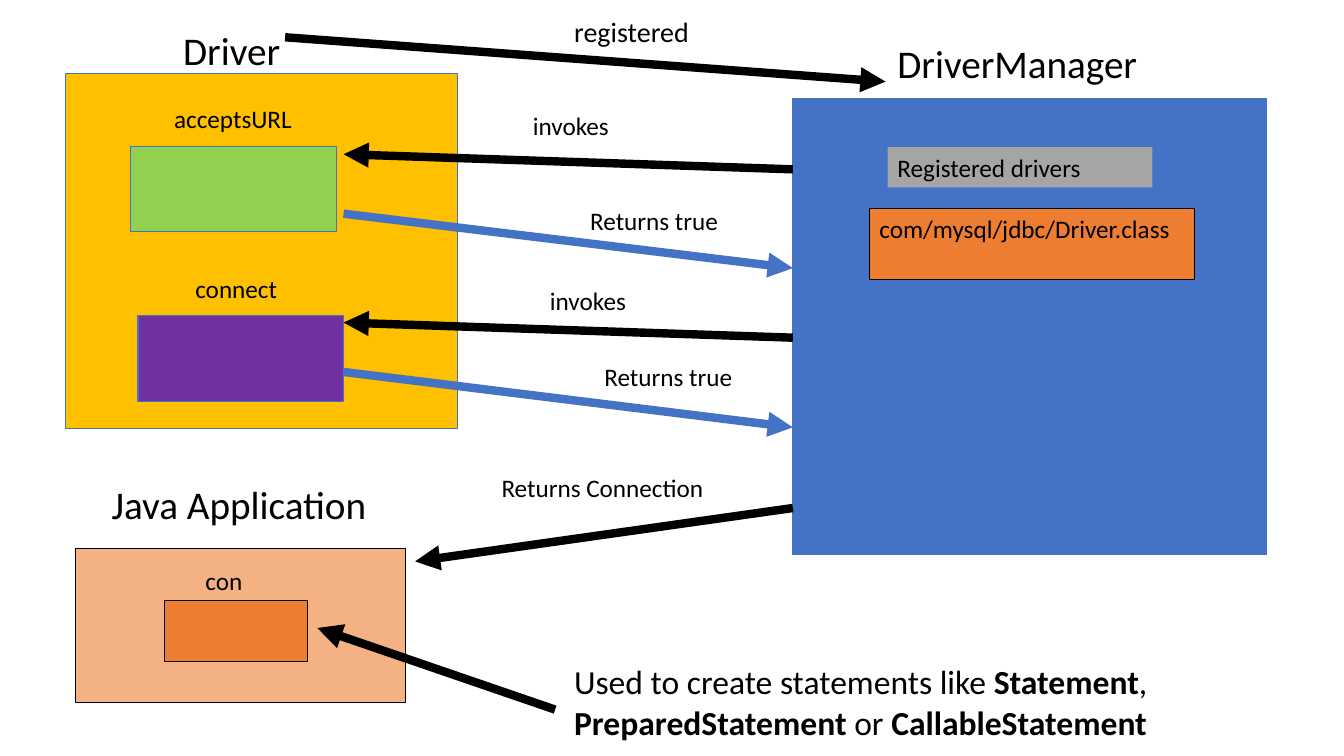
"""Build a slide showing how a JDBC driver, its manager and an application interact."""
from lxml import etree
from pptx import Presentation
from pptx.dml.color import RGBColor
from pptx.enum.shapes import MSO_CONNECTOR, MSO_SHAPE
from pptx.enum.text import MSO_ANCHOR, PP_ALIGN
from pptx.oxml.ns import qn
from pptx.util import Pt

PX = 9144
SLIDE_SIZE = (1334, 750)
FONT = "Calibri"
RECTANGLE = MSO_SHAPE.RECTANGLE
STRAIGHT = MSO_CONNECTOR.STRAIGHT
TOP = MSO_ANCHOR.TOP
LEFT = PP_ALIGN.LEFT

BLACK = RGBColor(0x00, 0x00, 0x00)
BLUE = RGBColor(0x44, 0x72, 0xC4)
GOLD = RGBColor(0xFF, 0xC0, 0x00)
GREEN = RGBColor(0x92, 0xD0, 0x50)
PURPLE = RGBColor(0x70, 0x30, 0xA0)
PEACH = RGBColor(0xF4, 0xB1, 0x83)
ORANGE = RGBColor(0xED, 0x7D, 0x31)
GRAY = RGBColor(0xA5, 0xA5, 0xA5)

TITLE, NOTE, EVENT, LABEL = 28, 24, 20, 18
TEXT_HEIGHT = {TITLE: 57, NOTE: 90, EVENT: 44, LABEL: 40}

BOXES = [
    ((65, 73, 389, 352), GOLD, BLUE, ""),
    ((130, 145, 204, 85), GREEN, BLUE, ""),
    ((137, 313, 204, 85), PURPLE, BLUE, ""),
    ((787, 98, 470, 452), BLUE, BLUE, ""),
    ((75, 544, 328, 153), PEACH, BLACK, ""),
    ((881, 146, 263, 40), GRAY, None, "Registered drivers"),
    ((863, 207, 323, 70), ORANGE, BLACK, "com/mysql/jdbc/Driver.class"),
    ((163, 596, 142, 60), ORANGE, BLACK, ""),
]

ARROWS = [
    ((283, 37), (879, 81), BLACK),
    ((787, 168), (341, 153), BLACK),
    ((341, 212), (787, 266), BLUE),
    ((787, 335), (341, 320), BLACK),
    ((341, 369), (787, 424), BLUE),
    ((787, 504), (412, 557), BLACK),
    ((551, 704), (315, 623), BLACK),
]

CAPTIONS = [
    ((172, 21, 120), TITLE, "Driver"),
    ((163, 98, 152), LABEL, "acceptsURL"),
    ((184, 266, 152), LABEL, "connect"),
    ((881, 34, 307), TITLE, "DriverManager"),
    ((560, 9, 265), EVENT, "registered"),
    ((519, 105, 119), LABEL, "invokes"),
    ((576, 199, 178), LABEL, "Returns true"),
    ((536, 278, 119), LABEL, "invokes"),
    ((590, 354, 178), LABEL, "Returns true"),
    ((488, 464, 246), LABEL, "Returns Connection"),
    ((101, 472, 347), TITLE, "Java Application"),
    ((194, 556, 62), LABEL, "con"),
]

USAGE_PLACE = (560, 651, 747)
USAGE_RUNS = [
    ("Used to create statements like ", False),
    ("Statement", True),
    (", ", False),
    ("PreparedStatement", True),
    (" or ", False),
    ("CallableStatement", True),
]


def emu(lengths):
    return [length * PX for length in lengths]


def write(frame, runs, size):
    frame.word_wrap = True
    frame.vertical_anchor = TOP
    paragraph = frame.paragraphs[0]
    paragraph.alignment = LEFT
    for words, bold in runs:
        run = paragraph.add_run()
        run.text = words
        run.font.color.rgb = BLACK
        for key, value in {"name": FONT, "size": Pt(size), "bold": bold}.items():
            setattr(run.font, key, value)


def add_box(slide, place, fill, outline, words):
    box = slide.shapes.add_shape(RECTANGLE, *emu(place))
    box.shadow.inherit = False
    box.fill.solid()
    box.fill.fore_color.rgb = fill
    if outline is None:
        box.line.fill.background()
    else:
        box.line.color.rgb = outline
        box.line.width = Pt(0.75)
    if words:
        write(box.text_frame, [(words, False)], LABEL)


def add_arrow(slide, start, end, color):
    arrow = slide.shapes.add_connector(STRAIGHT, *emu(start + end))
    arrow.line.color.rgb = color
    arrow.line.width = Pt(6)
    etree.SubElement(arrow.line._get_or_add_ln(), qn("a:tailEnd"), type="triangle")
    etree.SubElement(arrow._element.spPr, qn("a:effectLst"))


def add_caption(slide, place, size, runs):
    caption = slide.shapes.add_textbox(*emu(place + (TEXT_HEIGHT[size],)))
    write(caption.text_frame, runs, size)


def main():
    deck = Presentation()
    deck.slide_width, deck.slide_height = emu(SLIDE_SIZE)
    slide = deck.slides.add_slide(deck.slide_layouts[6])
    for box in BOXES:
        add_box(slide, *box)
    for arrow in ARROWS:
        add_arrow(slide, *arrow)
    for place, size, words in CAPTIONS:
        add_caption(slide, place, size, [(words, False)])
    add_caption(slide, USAGE_PLACE, NOTE, USAGE_RUNS)
    deck.save("out.pptx")


if __name__ == "__main__":
    main()
